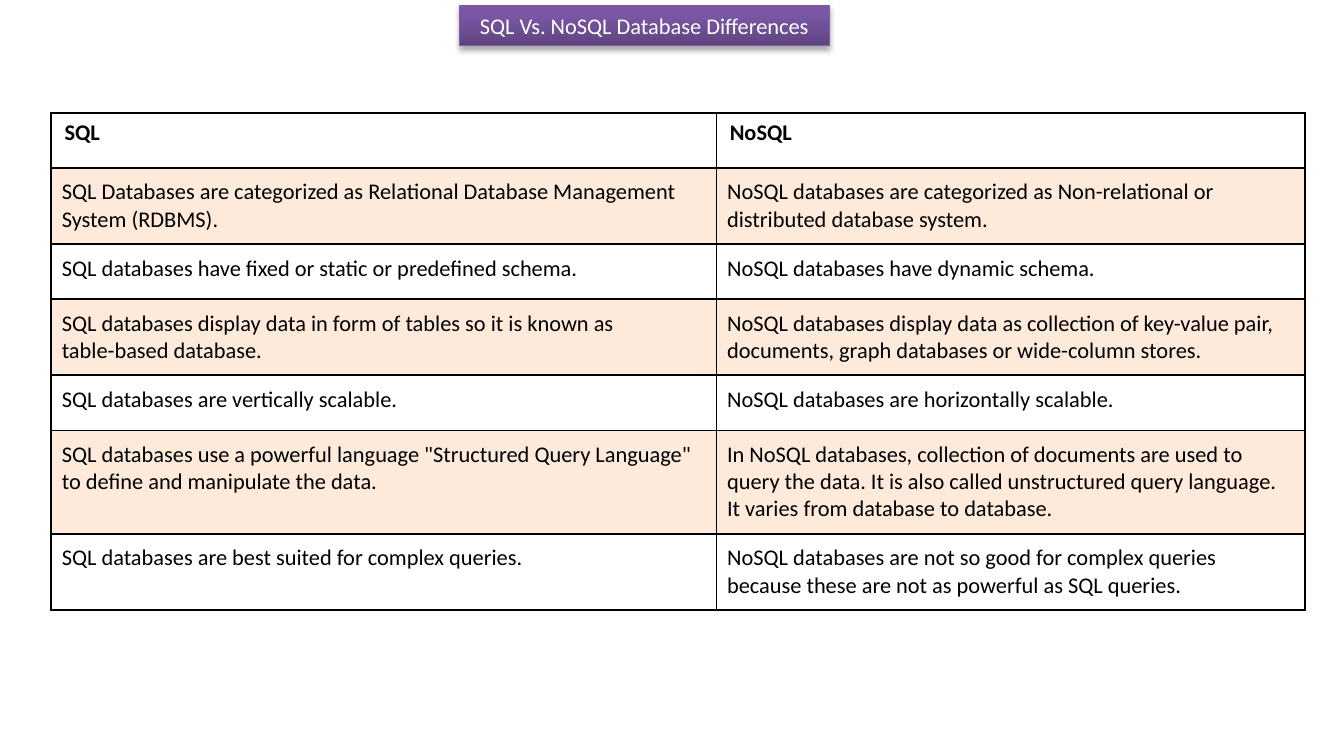
import dataclasses

import lxml.etree
import pptx
import pptx.dml.color
import pptx.enum.text
import pptx.oxml
import pptx.oxml.ns
import pptx.util

Inches = pptx.util.Inches
Pt = pptx.util.Pt
qn = pptx.oxml.ns.qn

COLORS = {
    "black": "000000",
    "white": "FFFFFF",
    "band": "FDEADA",
    "outline": "7D60A0",
    "dark": "5F4480",
    "mid": "7B58A6",
    "light": "7C57A8",
}
FONT = "Calibri"
NS = 'xmlns:a="http://schemas.openxmlformats.org/drawingml/2006/main"'


@dataclasses.dataclass
class Comparison:
    sql: str
    nosql: str


ROWS = [
    Comparison("SQL", "NoSQL"),
    Comparison(
        "SQL Databases are categorized as Relational Database Management System (RDBMS).",
        "NoSQL databases are categorized as Non-relational or distributed database system.",
    ),
    Comparison(
        "SQL databases have fixed or static or predefined schema.",
        "NoSQL databases have dynamic schema.",
    ),
    Comparison(
        "SQL databases display data in form of tables so it is known as\ntable-based database.",
        "NoSQL databases display data as collection of key-value pair, "
        "documents, graph databases or wide-column stores.",
    ),
    Comparison(
        "SQL databases are vertically scalable.",
        "NoSQL databases are horizontally scalable.",
    ),
    Comparison(
        'SQL databases use a powerful language "Structured Query Language" '
        "to define and manipulate the data.",
        "In NoSQL databases, collection of documents are used to query the data. "
        "It is also called unstructured query language. It varies from database to database.",
    ),
    Comparison(
        "SQL databases are best suited for complex queries.",
        "NoSQL databases are not so good for complex queries "
        "because these are not as powerful as SQL queries.",
    ),
]


def rgb(name: str) -> pptx.dml.color.RGBColor:
    return pptx.dml.color.RGBColor.from_string(COLORS[name])


def style_text(tf, color: str, bold: bool = False) -> None:
    for p in tf.paragraphs:
        p.font.name = FONT
        p.font.size = Pt(12)
        p.font.bold = bold
        p.font.color.rgb = rgb(color)


def add_title(s, text: str) -> None:
    sp = s.shapes.title
    sp.left, sp.top = Inches(3.42), Inches(0.04)
    sp.width, sp.height = Inches(2.75), Inches(0.3)

    # Three-stop gradient, running upwards
    sp.fill.gradient()
    sp.fill.gradient_angle = 90
    stops = sp._element.spPr.find(".//" + qn("a:gsLst"))
    for stop in list(stops):
        stops.remove(stop)
    for position, name in ((0, "dark"), (80, "mid"), (100, "light")):
        stops.append(pptx.oxml.parse_xml(
            f'<a:gs {NS} pos="{position * 1000}"><a:srgbClr val="{COLORS[name]}"/></a:gs>'))
    sp.line.color.rgb = rgb("outline")
    sp.line.width = Pt(0.75)

    # Soft shadow below
    sp._element.spPr.append(pptx.oxml.parse_xml(
        f'<a:effectLst {NS}><a:outerShdw blurRad="{Pt(3.1)}" dist="{Pt(1.8)}" '
        f'dir="5400000" rotWithShape="0"><a:srgbClr val="{COLORS["black"]}">'
        '<a:alpha val="35000"/></a:srgbClr></a:outerShdw></a:effectLst>'))

    tf = sp.text_frame
    tf.text = text
    tf.word_wrap = True
    tf.auto_size = pptx.enum.text.MSO_AUTO_SIZE.NONE
    tf.vertical_anchor = pptx.enum.text.MSO_ANCHOR.MIDDLE
    tf.paragraphs[0].alignment = pptx.enum.text.PP_ALIGN.CENTER
    style_text(tf, "white")


def add_borders(cell) -> None:
    tc_pr = cell._tc.get_or_add_tcPr()
    for side in "LRTB":
        ln = lxml.etree.SubElement(tc_pr, qn(f"a:ln{side}"), w=str(Pt(1)))
        fill = lxml.etree.SubElement(ln, qn("a:solidFill"))
        lxml.etree.SubElement(fill, qn("a:srgbClr"), val=COLORS["black"])


def fill_cell(cell, text: str, row: int) -> None:
    cell.text = text
    style_text(cell.text_frame, "black", bold=row == 0)
    if row > 0:
        cell.margin_left = cell.margin_right = Inches(0.08)
        cell.margin_top = cell.margin_bottom = Inches(0.08)
    add_borders(cell)
    if row % 2:
        cell.fill.solid()
        cell.fill.fore_color.rgb = rgb("band")
    else:
        cell.fill.background()


def add_comparison_table(s, rows: list[Comparison]) -> None:
    row_height = Inches(0.41)
    table = s.shapes.add_table(len(rows), 2, Inches(0.38), Inches(0.84),
                               Inches(9.33), row_height * len(rows)).table
    table.first_row = table.horz_banding = False
    for column, width in zip(table.columns, (4.95, 4.38)):
        column.width = Inches(width)
    for i, row in enumerate(rows):
        table.rows[i].height = row_height
        for j, text in enumerate(dataclasses.astuple(row)):
            fill_cell(table.cell(i, j), text, i)


def main() -> None:
    prs = pptx.Presentation()
    prs.slide_width, prs.slide_height = Inches(10), Inches(5.5)
    s = prs.slides.add_slide(prs.slide_layouts[5])
    add_title(s, "SQL Vs. NoSQL Database Differences")
    add_comparison_table(s, ROWS)
    prs.save("out.pptx")


if __name__ == "__main__":
    main()
